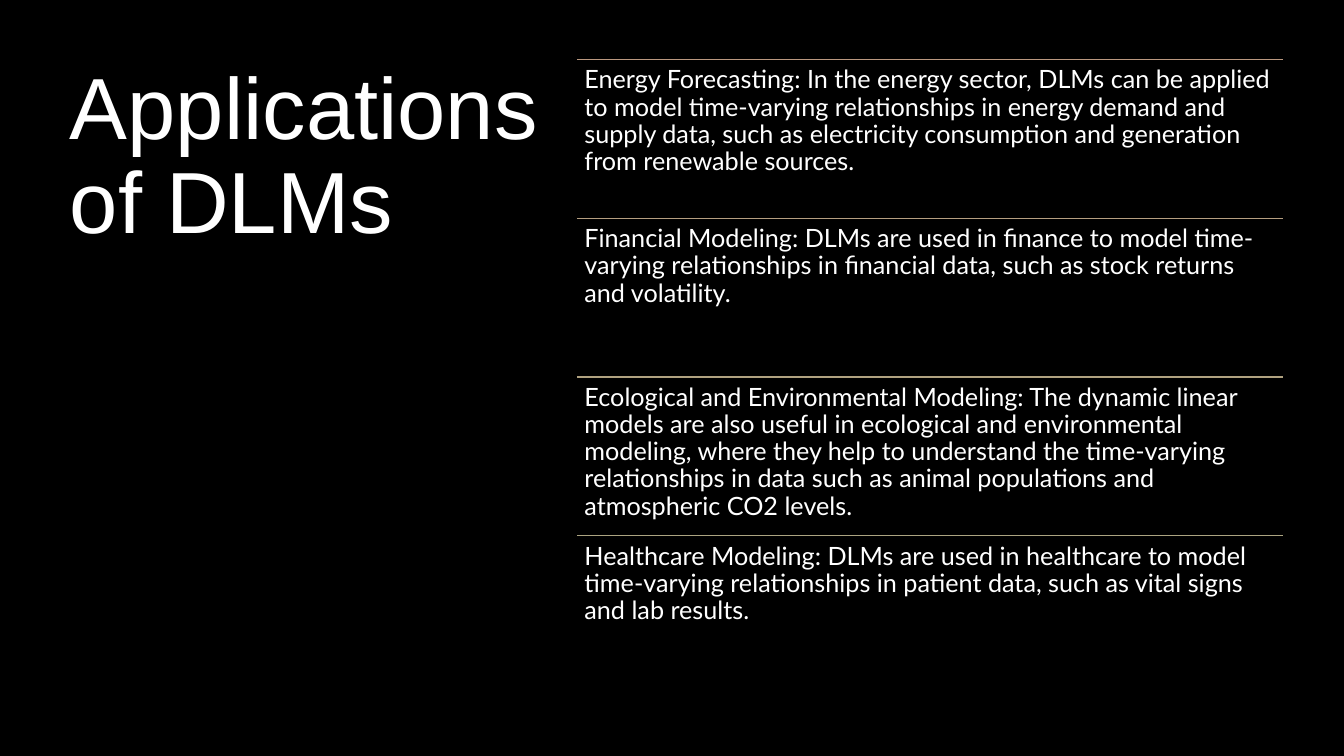
from pptx import Presentation
from pptx.dml.color import RGBColor
from pptx.enum.shapes import MSO_CONNECTOR, MSO_SHAPE
from pptx.enum.text import MSO_ANCHOR, PP_ALIGN
from pptx.oxml.ns import qn
from pptx.util import Cm, Pt
from lxml import etree

STRAIGHT = MSO_CONNECTOR.STRAIGHT
RECTANGLE = MSO_SHAPE.RECTANGLE
TOP = MSO_ANCHOR.TOP
LEFT = PP_ALIGN.LEFT

SLIDE_WIDTH, SLIDE_HEIGHT = 33.87, 19.05
TITLE_LEFT = 1.51
TITLE_WIDTH = 12.5
CONTENT_TOP = 1.5
LIST_LEFT = 14.54
LIST_WIDTH = 17.8
ROW_HEIGHT = 4

APPLICATIONS = [
    ("BA987F", "Energy Forecasting: In the energy sector, DLMs can be applied to model "
               "time-varying relationships in energy demand and supply data, such as "
               "electricity consumption and generation from renewable sources."),
    ("B59E80", "Financial Modeling: DLMs are used in finance to model time-varying "
               "relationships in financial data, such as stock returns and volatility."),
    ("B0A280", "Ecological and Environmental Modeling: The dynamic linear models are also "
               "useful in ecological and environmental modeling, where they help to "
               "understand the time-varying relationships in data such as animal "
               "populations and atmospheric CO2 levels."),
    ("ABA481", "Healthcare Modeling: DLMs are used in healthcare to model time-varying "
               "relationships in patient data, such as vital signs and lab results."),
]


def color(hex_string):
    return RGBColor.from_string(hex_string)


class SlideBuilder:
    backdrop_color = "000000"
    ink = "FFFFFF"
    title_font, title_size = "Arial", 62
    body_font, body_size = "Lato", 18
    line_spacing = 0.9

    def __init__(self, slide):
        self.slide = slide

    def backdrop(self):
        """Cover the slide and its background with one dark colour."""
        panel = self.slide.shapes.add_shape(
            RECTANGLE, 0, 0, Cm(SLIDE_WIDTH), Cm(SLIDE_HEIGHT))
        panel.shadow.inherit = False
        panel.line.fill.background()
        for fill in (self.slide.background.fill, panel.fill):
            fill.solid()
            fill.fore_color.rgb = color(self.backdrop_color)

    def text(self, left, top, width, height, words, font, size, insets):
        """Add a top-left text box; insets are (horizontal, vertical) in cm."""
        box = self.slide.shapes.add_textbox(Cm(left), Cm(top), Cm(width), Cm(height))
        frame = box.text_frame
        frame.word_wrap = True
        frame.vertical_anchor = TOP
        frame.margin_left = frame.margin_right = Cm(insets[0])
        frame.margin_top = frame.margin_bottom = Cm(insets[1])
        paragraph = frame.paragraphs[0]
        paragraph.alignment = LEFT
        paragraph.line_spacing = self.line_spacing
        run = paragraph.add_run()
        run.text = words
        run.font.name = font
        run.font.size = Pt(size)
        run.font.color.rgb = color(self.ink)

    def title(self, words):
        self.text(TITLE_LEFT, CONTENT_TOP, TITLE_WIDTH, 16, words,
                  self.title_font, self.title_size, (0.25, 0.13))

    def rule(self, left, top, width, line_color):
        divider = self.slide.shapes.add_connector(
            STRAIGHT, Cm(left), Cm(top), Cm(left + width), Cm(top))
        divider.line.color.rgb = color(line_color)
        divider.line.width = Pt(1)
        etree.SubElement(divider.element.spPr, qn("a:effectLst"))

    def application(self, top, line_color, words):
        self.rule(LIST_LEFT, top, LIST_WIDTH, line_color)
        self.text(LIST_LEFT, top, LIST_WIDTH, ROW_HEIGHT, words,
                  self.body_font, self.body_size, (0.19, 0.19))


def main():
    deck = Presentation()
    deck.slide_width, deck.slide_height = Cm(SLIDE_WIDTH), Cm(SLIDE_HEIGHT)
    builder = SlideBuilder(deck.slides.add_slide(deck.slide_layouts[6]))
    builder.backdrop()
    builder.title("Applications of DLMs")
    for row, (line_color, words) in enumerate(APPLICATIONS):
        builder.application(CONTENT_TOP + row * ROW_HEIGHT, line_color, words)
    deck.save("out.pptx")


if __name__ == "__main__":
    main()
